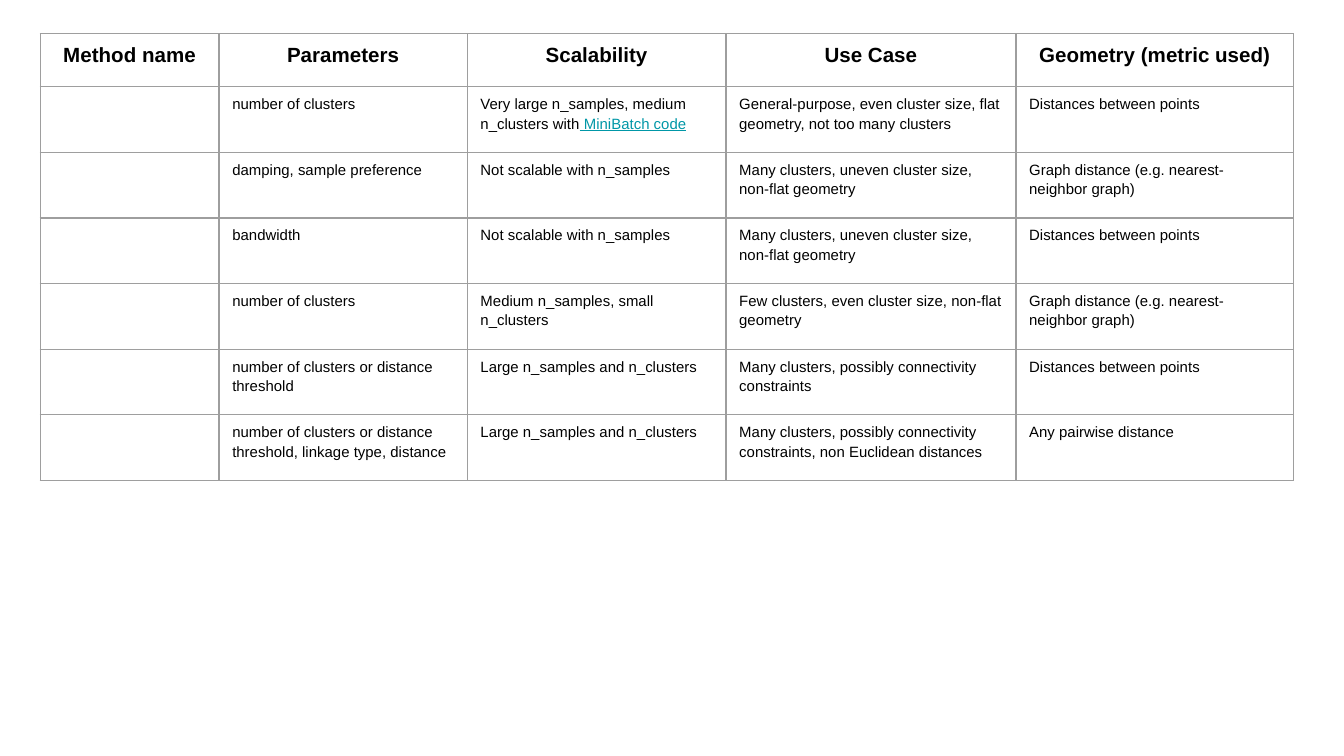
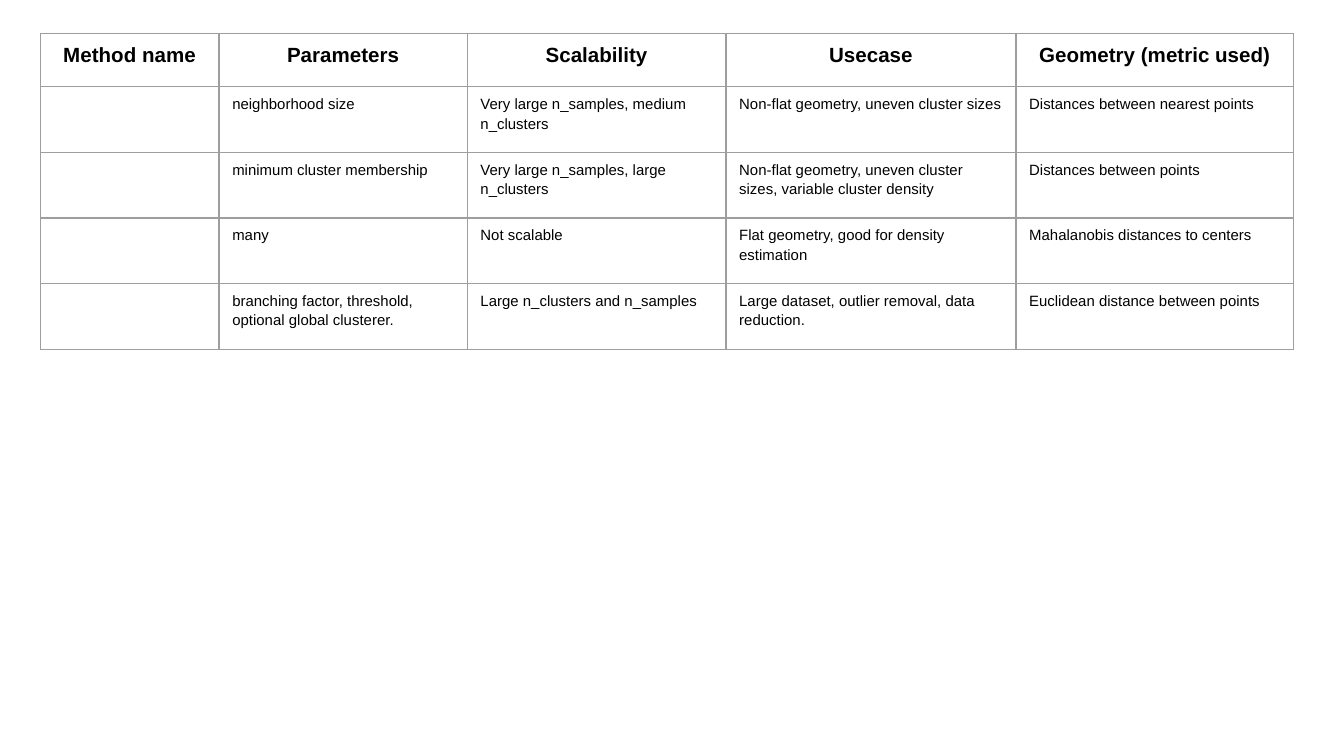
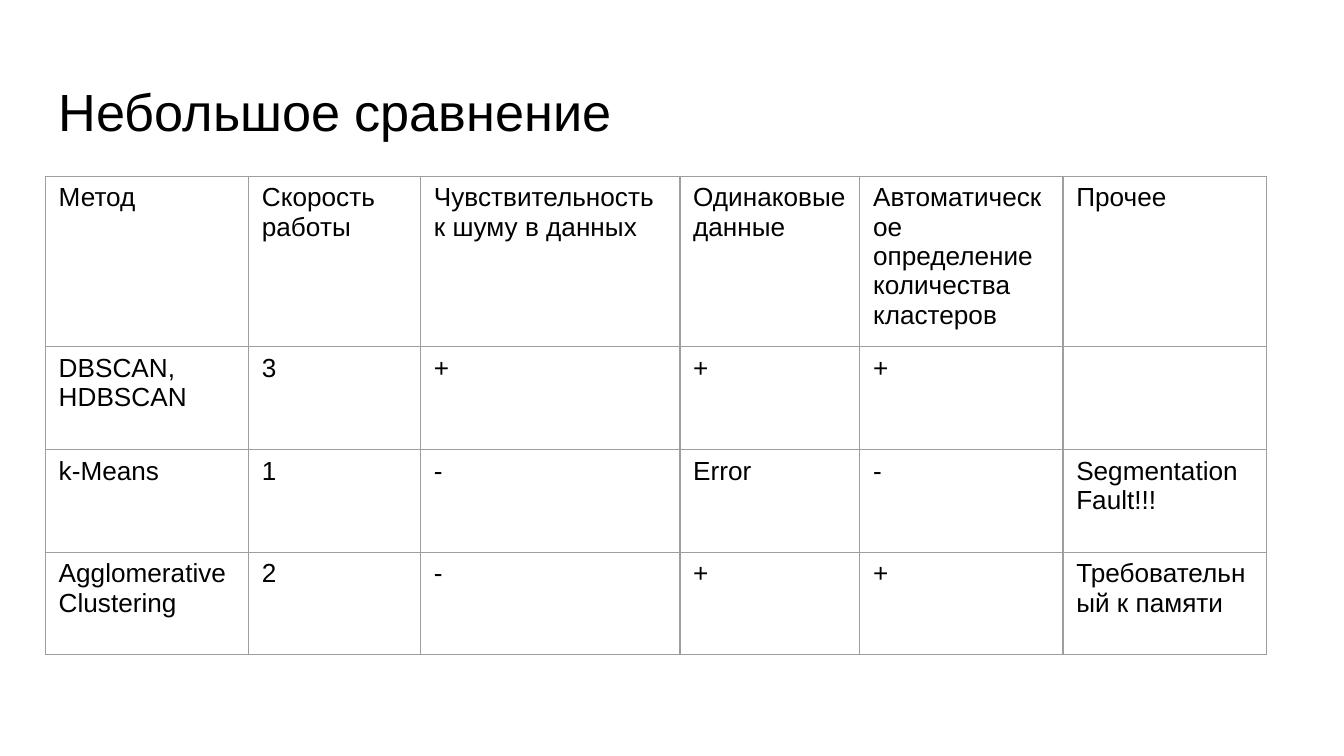
from lxml.etree import SubElement as Sub
from pptx import Presentation
from pptx.dml.color import RGBColor as RGB
from pptx.enum.text import PP_ALIGN as Align
from pptx.oxml.ns import qn
from pptx.util import Cm, Pt

COLORS = {"text": "000000", "link": "0097A7", "grid": "9E9E9E"}
FONT = "Arial"

WIDTHS = [3.38, 4.69, 4.89, 5.48, 5.25]
HEAD = ["Method name", "Parameters", "Scalability", "Use Case",
        "Geometry (metric used)"]
POINTS = "Distances between points"
GRAPH = "Graph distance (e.g. nearest-neighbor graph)"
UNEVEN = "Many clusters, uneven cluster size, non-flat geometry"
LARGE = "Large n_samples and n_clusters"

BASIC = [
    HEAD,
    ["", "number of clusters",
     ("Very large n_samples, medium n_clusters with", " MiniBatch code"),
     "General-purpose, even cluster size, flat geometry, "
     "not too many clusters", POINTS],
    ["", "damping, sample preference", "Not scalable with n_samples",
     UNEVEN, GRAPH],
    ["", "bandwidth", "Not scalable with n_samples", UNEVEN, POINTS],
    ["", "number of clusters", "Medium n_samples, small n_clusters",
     "Few clusters, even cluster size, non-flat geometry", GRAPH],
    ["", "number of clusters or distance threshold", LARGE,
     "Many clusters, possibly connectivity constraints", POINTS],
    ["", "number of clusters or distance threshold, linkage type, distance",
     LARGE,
     "Many clusters, possibly connectivity constraints, "
     "non Euclidean distances", "Any pairwise distance"],
]

DENSE = [
    [*HEAD[:3], "Usecase", HEAD[4]],
    ["", "neighborhood size", "Very large n_samples, medium n_clusters",
     "Non-flat geometry, uneven cluster sizes",
     "Distances between nearest points"],
    ["", "minimum cluster membership",
     "Very large n_samples, large n_clusters",
     "Non-flat geometry, uneven cluster sizes, variable cluster density",
     POINTS],
    ["", "many", "Not scalable", "Flat geometry, good for density estimation",
     "Mahalanobis distances to centers"],
    ["", "branching factor, threshold, optional global clusterer.",
     "Large n_clusters and n_samples",
     "Large dataset, outlier removal, data reduction.",
     "Euclidean distance between points"],
]

SPEED = [
    ["Метод", "Скорость работы", "Чувствительность к шуму в данных",
     "Одинаковые данные", "Автоматическое определение количества кластеров",
     "Прочее"],
    ["DBSCAN,\nHDBSCAN", "3", "+", "+", "+", ""],
    ["k-Means", "1", "-", "Error", "-", "SegmentationFault!!!"],
    ["AgglomerativeClustering", "2", "-", "+", "+",
     "Требовательный к памяти"],
]


class Deck:
    def __init__(self):
        self.prs = Presentation()
        self.prs.slide_width, self.prs.slide_height = Cm(25.4), Cm(14.29)
        self.slide = None

    def add(self):
        self.slide = self.prs.slides.add_slide(self.prs.slide_layouts[6])

    def style(self, font, size, bold=False, color="text"):
        font.name, font.size, font.bold = FONT, Pt(size), bold
        font.color.rgb = RGB.from_string(COLORS[color])

    def title(self, text):
        box = self.slide.shapes.add_textbox(
            Cm(0.86), Cm(1.24), Cm(23.67), Cm(1.6))
        frame = box.text_frame
        frame.word_wrap = True
        frame.margin_left = frame.margin_right = Cm(0.25)
        frame.margin_top = frame.margin_bottom = Cm(0.25)
        frame.text = text
        self.style(frame.paragraphs[0].font, 28)

    def border(self, cell):
        props = cell._tc.get_or_add_tcPr()
        for side in "LRTB":
            line = Sub(props, qn(f"a:ln{side}"), w=str(Pt(0.75)))
            fill = Sub(line, qn("a:solidFill"))
            Sub(fill, qn("a:srgbClr"), val=COLORS["grid"])

    def grid(self, left, top, widths, heights, rows):
        """Add a plain ruled table and return it."""
        table = self.slide.shapes.add_table(
            len(rows), len(widths), Cm(left), Cm(top),
            Cm(sum(widths)), Cm(sum(heights))).table
        table.first_row = table.horz_banding = False
        for col, width in zip(table.columns, widths):
            col.width = Cm(width)
        for row, height, texts in zip(table.rows, heights, rows):
            row.height = Cm(height)
            for cell, text in zip(row.cells, texts):
                self.border(cell)
                cell.fill.background()
                cell.margin_left = cell.margin_right = Cm(0.25)
                cell.margin_top = cell.margin_bottom = Cm(0.13)
                if isinstance(text, str):
                    cell.text = text
                else:
                    self.mixed(cell, *text)
        return table

    def mixed(self, cell, plain, link):
        """Write plain text followed by text that looks like a link."""
        para = cell.text_frame.paragraphs[0]
        for text, color in ((plain, "text"), (link, "link")):
            run = para.add_run()
            run.text = text
            self.style(run.font, 8, color=color)
            run.font.underline = color == "link"

    def methods(self, rows):
        """Add a table of methods with a bold, centred header."""
        heights = [1] + [1.24] * (len(rows) - 1)
        table = self.grid(0.76, 0.64, WIDTHS, heights, rows)
        for i, row in enumerate(table.rows):
            for cell in row.cells:
                para = cell.text_frame.paragraphs[0]
                para.line_spacing = 1.15
                if i == 0:
                    para.alignment = Align.CENTER
                    self.style(para.font, 11, bold=True)
                else:
                    para.space_after = Pt(16)
                    self.style(para.font, 8)

    def compare(self, rows):
        widths = [3.84, 3.25, 4.9, 3.4, 3.84, 3.84]
        table = self.grid(0.86, 3.33, widths, [1.94] * len(rows), rows)
        for cell in table.iter_cells():
            for para in cell.text_frame.paragraphs:
                self.style(para.font, 14)


def main():
    deck = Deck()
    for rows in (BASIC, DENSE):
        deck.add()
        deck.methods(rows)
    deck.add()
    deck.title("Небольшое сравнение")
    deck.compare(SPEED)
    deck.prs.save("out.pptx")


if __name__ == "__main__":
    main()
